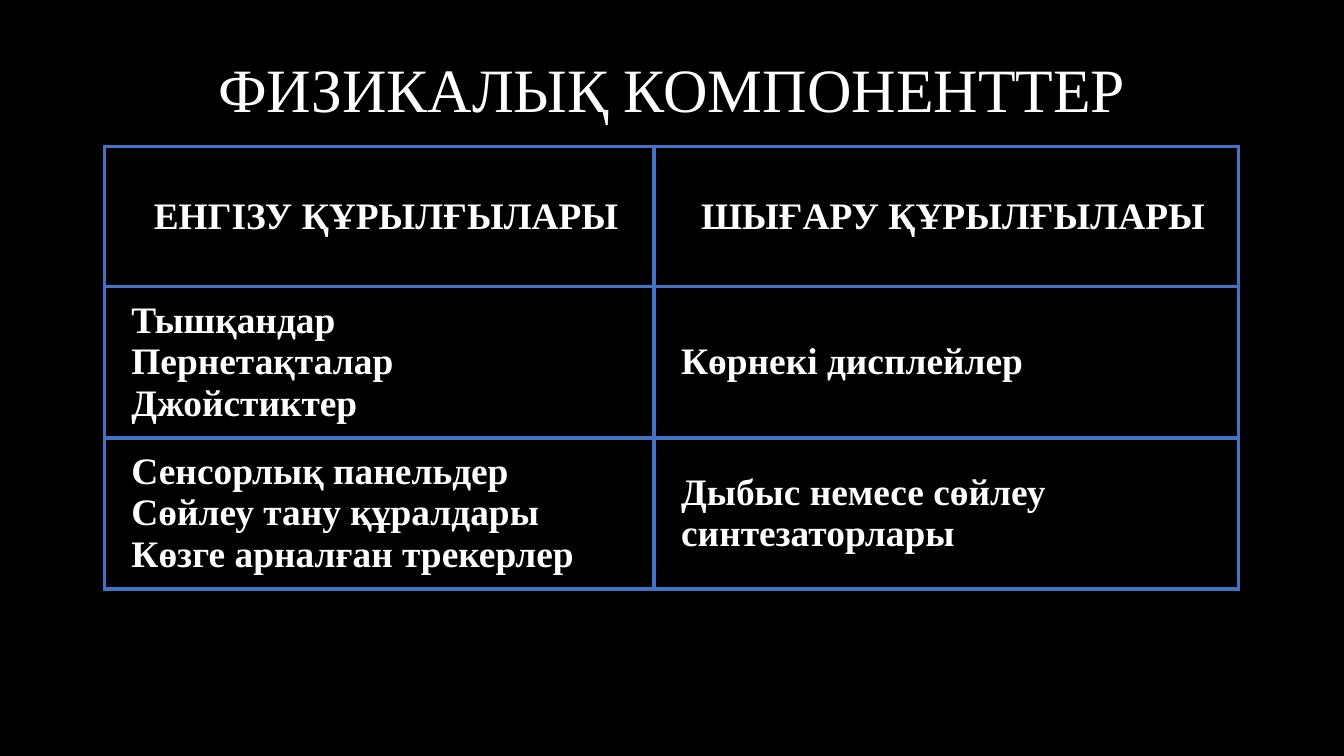
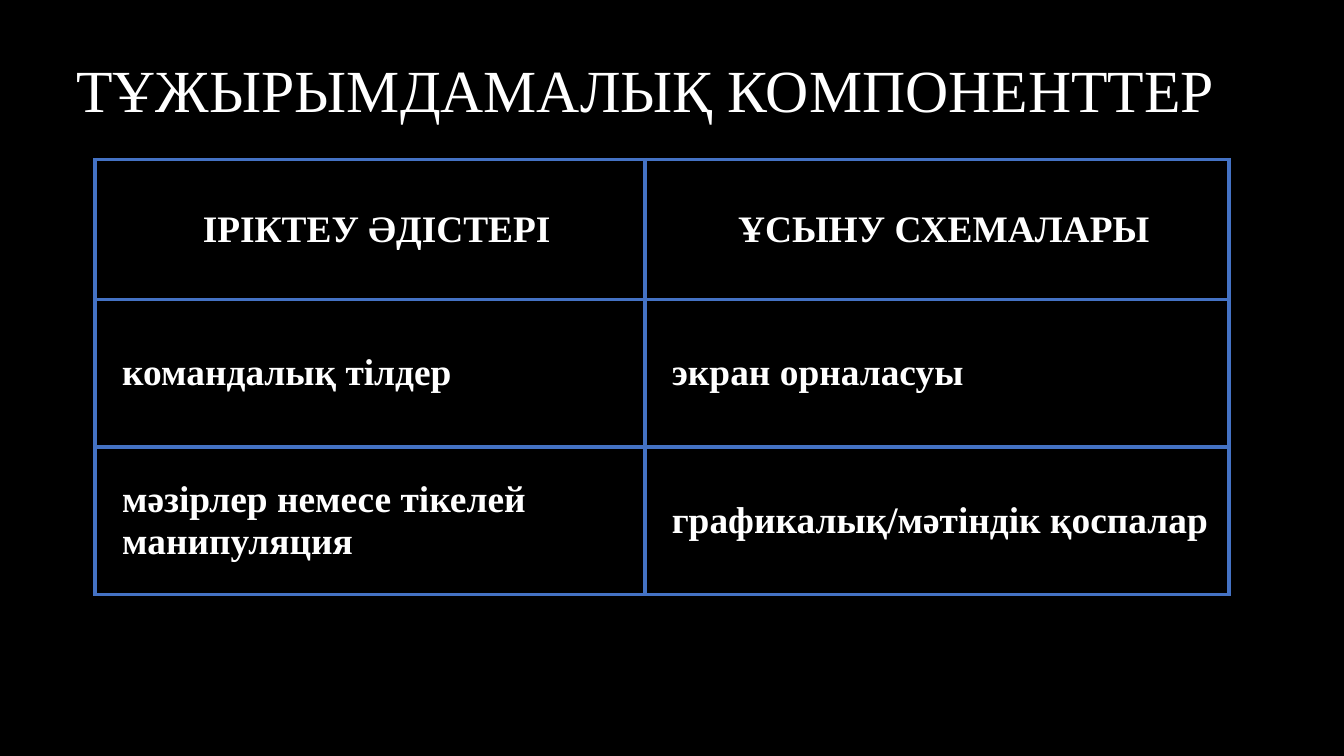
import dataclasses

import lxml.etree
import pptx
import pptx.dml.color
import pptx.enum.text
import pptx.oxml.ns
import pptx.util

Pt = pptx.util.Pt
ALIGN = pptx.enum.text.PP_ALIGN
ANCHOR = pptx.enum.text.MSO_ANCHOR


@dataclasses.dataclass(frozen=True)
class Theme:
    """Colours, type and table measures shared by the slides."""

    background: str = "000000"
    text: str = "FFFFFF"
    border: str = "4472C4"
    font: str = "Times New Roman"
    cell_size: float = 20
    border_width: float = 2.25
    inset: float = 7.2
    cell_left_inset: float = 14.4
    column_widths: tuple = (294.5, 313)
    row_heights: tuple = (75, 79, 79)


THEME = Theme()


def rgb(code):
    """Turn a hexadecimal code into a colour."""
    return pptx.dml.color.RGBColor.from_string(code)


def style_runs(para, size, bold=False):
    """Give the runs of a paragraph the theme's font and colour."""
    for span in para.runs:
        span.font.name = THEME.font
        span.font.size = Pt(size)
        span.font.bold = bold
        span.font.color.rgb = rgb(THEME.text)


def add_title(page, text, left, width, size):
    """Fill the title placeholder and place it above the table."""
    title = page.shapes.title
    title.left, title.top = Pt(left), Pt(31)
    title.width, title.height = Pt(width), Pt(37.5)
    frame = title.text_frame
    frame.text = text
    frame.word_wrap = True
    frame.auto_size = pptx.enum.text.MSO_AUTO_SIZE.NONE
    frame.vertical_anchor = ANCHOR.MIDDLE
    frame.margin_left = frame.margin_right = Pt(THEME.inset)
    frame.margin_top = frame.margin_bottom = 0
    para = frame.paragraphs[0]
    para.alignment = ALIGN.CENTER
    para.line_spacing = 0.9
    style_runs(para, size)


def add_borders(cell):
    """Draw the theme's line on all four sides of a cell."""
    qn = pptx.oxml.ns.qn
    properties = cell._tc.get_or_add_tcPr()
    for side in ("lnL", "lnR", "lnT", "lnB"):
        line = lxml.etree.SubElement(
            properties, qn(f"a:{side}"), w=str(Pt(THEME.border_width)))
        fill = lxml.etree.SubElement(line, qn("a:solidFill"))
        lxml.etree.SubElement(fill, qn("a:srgbClr"), val=THEME.border)


def fill_cell(cell, text, is_header):
    """Write and format one table cell."""
    add_borders(cell)
    cell.fill.solid()
    cell.fill.fore_color.rgb = rgb(THEME.background)
    cell.vertical_anchor = ANCHOR.MIDDLE
    cell.margin_left = Pt(THEME.cell_left_inset)
    cell.margin_right = cell.margin_top = cell.margin_bottom = Pt(THEME.inset)
    cell.text_frame.text = text
    for para in cell.text_frame.paragraphs:
        para.alignment = ALIGN.CENTER if is_header else ALIGN.LEFT
        style_runs(para, THEME.cell_size, bold=True)


def add_component_table(page, left, top, rows):
    """Add a bordered table whose first row holds the headings."""
    widths, heights = THEME.column_widths, THEME.row_heights
    table = page.shapes.add_table(
        len(heights), len(widths), Pt(left), Pt(top),
        Pt(sum(widths)), Pt(sum(heights))).table
    table.first_row = table.horz_banding = False
    for column, width in zip(table.columns, widths):
        column.width = Pt(width)
    for index, (row, height, texts) in enumerate(zip(table.rows, heights, rows)):
        row.height = Pt(height)
        for cell, text in zip(row.cells, texts):
            fill_cell(cell, text, is_header=index == 0)


def add_page(deck):
    """Add a slide that has only a title placeholder."""
    return deck.slides.add_slide(deck.slide_layouts.get_by_name("Title Only"))


def main():
    """Build and save the two slides."""
    deck = pptx.Presentation()
    deck.slide_width, deck.slide_height = Pt(720), Pt(405)
    backdrop = deck.slide_master.background.fill
    backdrop.solid()
    backdrop.fore_color.rgb = rgb(THEME.background)

    page = add_page(deck)
    add_title(page, "ФИЗИКАЛЫҚ КОМПОНЕНТТЕР", left=56, width=608, size=33)
    add_component_table(page, left=56, top=78.5, rows=[
        ("ЕНГІЗУ ҚҰРЫЛҒЫЛАРЫ", "ШЫҒАРУ ҚҰРЫЛҒЫЛАРЫ"),
        ("Тышқандар\nПернетақталар\nДжойстиктер", "Көрнекі дисплейлер"),
        ("Сенсорлық панельдер\nСөйлеу тану құралдары\nКөзге арналған трекерлер",
         "Дыбыс немесе сөйлеу синтезаторлары"),
    ])

    page = add_page(deck)
    add_title(page, "ТҰЖЫРЫМДАМАЛЫҚ КОМПОНЕНТТЕР", left=28, width=636, size=32)
    add_component_table(page, left=51, top=85.5, rows=[
        ("ІРІКТЕУ ӘДІСТЕРІ", "ҰСЫНУ СХЕМАЛАРЫ"),
        ("командалық тілдер", "экран орналасуы"),
        ("мәзірлер немесе тікелей манипуляция", "графикалық/мәтіндік қоспалар"),
    ])

    deck.save("out.pptx")


if __name__ == "__main__":
    main()
